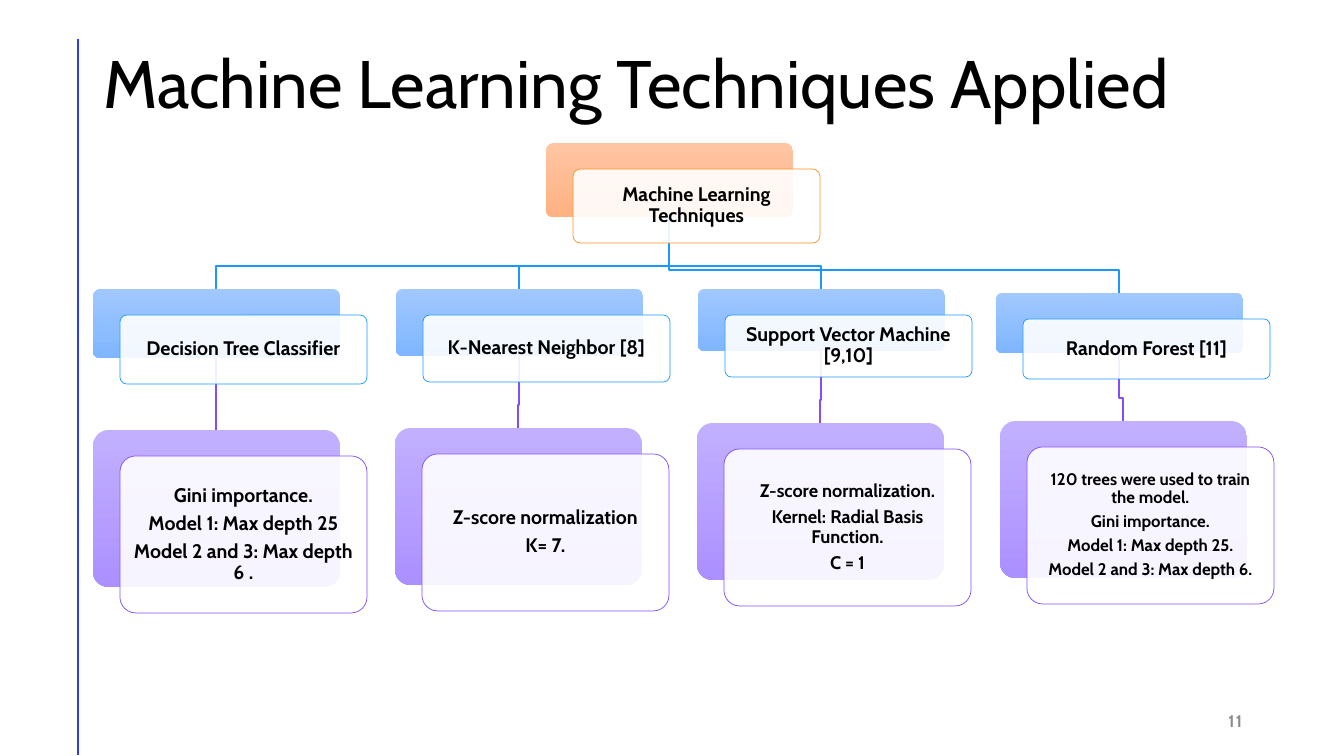
from pptx import Presentation
from pptx.dml.color import RGBColor
from pptx.enum.shapes import MSO_CONNECTOR as CONN, MSO_SHAPE as SHAPE
from pptx.enum.text import MSO_ANCHOR as ANCHOR, PP_ALIGN as ALIGN
from pptx.oxml.ns import qn
from pptx.util import Emu, Pt
from lxml.etree import SubElement

SCALE = 914400 / 100.8
FONT = "Cabin"
BLACK = RGBColor(0x00, 0x00, 0x00)
WHITE = RGBColor(0xFF, 0xFF, 0xFF)
GREY = RGBColor(0x8C, 0x8C, 0x8C)
RULE_BLUE = RGBColor(0x2B, 0x3F, 0xE8)
ORANGE = RGBColor(0xFF, 0x90, 0x22)
BLUE = RGBColor(0x1A, 0x98, 0xFF)
PURPLE = RGBColor(0x81, 0x4D, 0xFF)
ORANGE_FADE = (RGBColor(0xFF, 0xC5, 0xA3), RGBColor(0xFF, 0xB1, 0x81))
BLUE_FADE = (RGBColor(0xA1, 0xC8, 0xFF), RGBColor(0x7F, 0xB6, 0xFF))
PURPLE_FADE = (RGBColor(0xC2, 0xB0, 0xFF), RGBColor(0xAB, 0x90, 0xFF))

CARD_W, DETAIL_H = 247, 157
SHIFT_X, SHIFT_Y = 27, 26
BEND = 23
ROOT = (546, 143, 74)

BRANCHES = [
    ((93, 289, 69), "Decision Tree Classifier", (93, 430, DETAIL_H), 14,
     ["Gini importance.", "Model 1: Max depth 25", "Model 2 and 3: Max depth 6 ."]),
    ((396, 289, 67), "K-Nearest Neighbor [8]", (395, 428, DETAIL_H), 14,
     ["Z-score normalization", "K= 7."]),
    ((698, 289, 62), "Support Vector Machine [9,10]", (697, 423, DETAIL_H), 13,
     ["Z-score normalization.", "Kernel: Radial Basis Function.", "C = 1"]),
    ((996, 293, 60), "Random Forest [11]", (1000, 421, DETAIL_H), 12,
     ["120 trees were used to train the model.", "Gini importance.",
      "Model 1: Max depth 25.", "Model 2 and 3: Max depth 6."]),
]


def px(n):
    return Emu(round(n * SCALE))


def format_run(r, size, color, bold):
    r.font.name = FONT
    r.font.size = Pt(size)
    r.font.bold = bold
    r.font.color.rgb = color


def add_line(slide, x1, y1, x2, y2, color, width):
    line = slide.shapes.add_connector(CONN.STRAIGHT, px(x1), px(y1), px(x2), px(y2))
    line.line.color.rgb = color
    line.line.width = Pt(width)
    SubElement(line._element.spPr, qn("a:effectLst"))


def add_branch_line(slide, parent, child, color):
    x1, y1 = parent[0] + CARD_W // 2, parent[1] + parent[2]
    x2, y2 = child[0] + CARD_W // 2, child[1]
    if x1 == x2:
        add_line(slide, x1, y1, x2, y2, color, 1)
        return
    builder = slide.shapes.build_freeform(x1, y1, SCALE)
    builder.add_line_segments([(x1, y2 - BEND), (x2, y2 - BEND), (x2, y2)], close=False)
    sp = builder.convert_to_shape()
    sp.shadow.inherit = False
    sp.fill.background()
    sp.line.color.rgb = color
    sp.line.width = Pt(1)


def add_round_box(slide, x, y, h):
    sp = slide.shapes.add_shape(SHAPE.ROUNDED_RECTANGLE, px(x), px(y), px(CARD_W), px(h))
    sp.adjustments[0] = 0.1
    sp.shadow.inherit = False
    return sp


def add_card(slide, place, lines, size, fade, color):
    x, y, h = place
    back = add_round_box(slide, x, y, h)
    back.line.fill.background()
    back.fill.gradient()
    back.fill.gradient_angle = 270
    for stop, shade in zip(back.fill.gradient_stops, fade):
        stop.color.rgb = shade

    front = add_round_box(slide, x + SHIFT_X, y + SHIFT_Y, h)
    front.fill.solid()
    front.fill.fore_color.rgb = WHITE
    srgb = front._element.spPr.find(qn("a:solidFill")).find(qn("a:srgbClr"))
    SubElement(srgb, qn("a:alpha")).set("val", "90000")
    front.line.color.rgb = color
    front.line.width = Pt(0.5)

    tf = front.text_frame
    tf.word_wrap = True
    tf.vertical_anchor = ANCHOR.MIDDLE
    tf.margin_left = tf.margin_right = tf.margin_top = tf.margin_bottom = px(6)
    tf.text = "\n".join(lines)
    for p in tf.paragraphs:
        p.alignment = ALIGN.CENTER
        p.line_spacing = 0.9
        p.space_after = Pt(round(0.35 * size, 1))
        format_run(p.runs[0], size, BLACK, True)


def set_title(slide, text):
    title = slide.shapes.title
    title.left, title.top, title.width, title.height = px(93), px(40), px(1159), px(93)
    tf = title.text_frame
    tf.text = text
    tf.word_wrap = True
    tf.vertical_anchor = ANCHOR.MIDDLE
    p = tf.paragraphs[0]
    p.alignment = ALIGN.LEFT
    p.line_spacing = 0.9
    format_run(p.runs[0], 48, BLACK, False)


def add_page_number(slide, text):
    tf = slide.shapes.add_textbox(px(950), px(701), px(302), px(40)).text_frame
    tf.word_wrap = True
    tf.vertical_anchor = ANCHOR.MIDDLE
    tf.text = text
    p = tf.paragraphs[0]
    p.alignment = ALIGN.RIGHT
    r = p.runs[0]
    format_run(r, 12, GREY, True)
    r.font._element.set("spc", "100")


def main():
    prs = Presentation()
    prs.slide_width, prs.slide_height = px(1344), px(756)
    slide = prs.slides.add_slide(prs.slide_layouts[5])
    add_line(slide, 78, 39, 78, 755, RULE_BLUE, 2)
    set_title(slide, "Machine Learning Techniques Applied")

    for method, _, detail, _, _ in reversed(BRANCHES):
        add_branch_line(slide, method, detail, PURPLE)
        add_branch_line(slide, ROOT, method, BLUE)

    add_card(slide, ROOT, ["Machine Learning Techniques"], 14, ORANGE_FADE, ORANGE)
    for method, name, detail, size, lines in BRANCHES:
        add_card(slide, method, [name], 14, BLUE_FADE, BLUE)
        add_card(slide, detail, lines, size, PURPLE_FADE, PURPLE)

    add_page_number(slide, "11")
    prs.save("out.pptx")


main()
